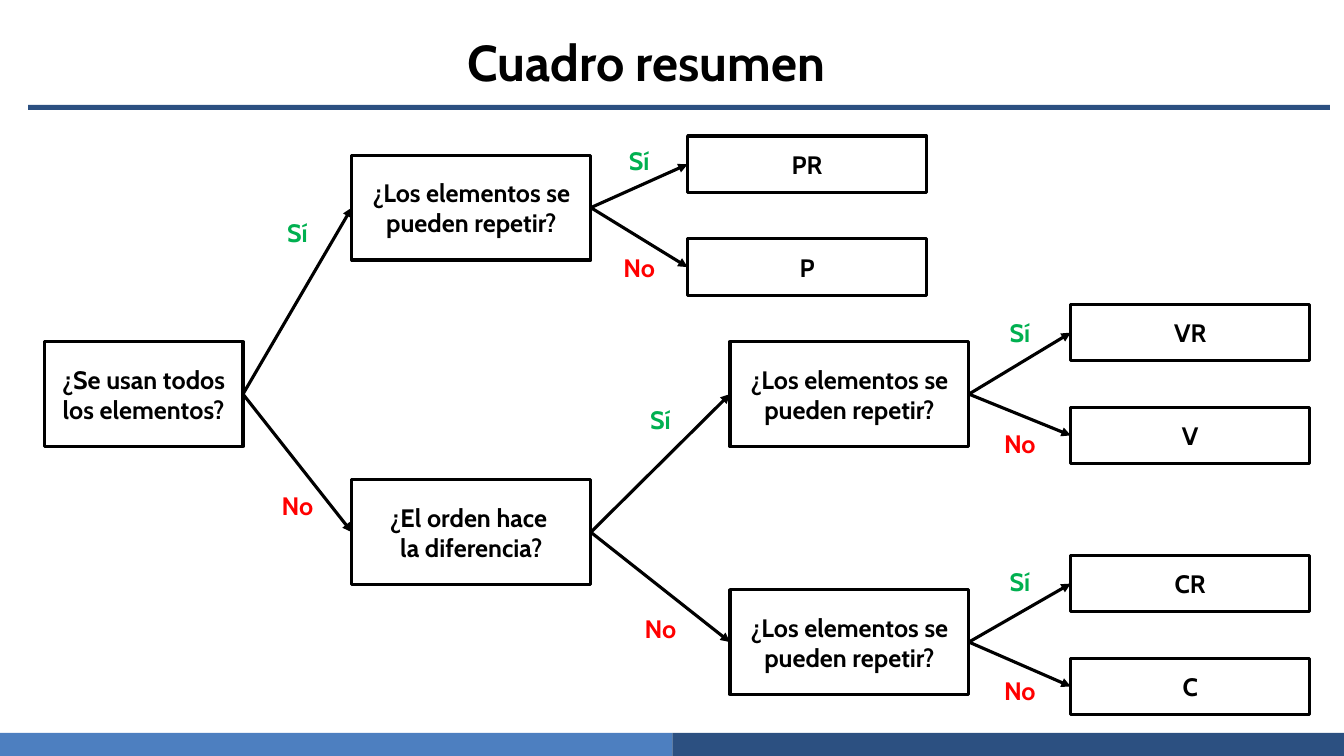
import pptx
import pptx.dml.color
import pptx.enum.shapes
import pptx.enum.text
import pptx.oxml
import pptx.oxml.ns
import pptx.util

Inches = pptx.util.Inches
Pt = pptx.util.Pt
RGBColor = pptx.dml.color.RGBColor
PP_ALIGN = pptx.enum.text.PP_ALIGN
MSO_ANCHOR = pptx.enum.text.MSO_ANCHOR
MSO_SHAPE = pptx.enum.shapes.MSO_SHAPE

BLACK = RGBColor(0x00, 0x00, 0x00)
WHITE = RGBColor(0xFF, 0xFF, 0xFF)
LIGHT_BLUE = RGBColor(0x4D, 0x7F, 0xC0)
DARK_BLUE = RGBColor(0x2C, 0x50, 0x81)
GREEN = RGBColor(0x00, 0xB0, 0x50)
RED = RGBColor(0xFF, 0x00, 0x00)
FONT = "Cabin"

TITLE = "Cuadro resumen"
REPEAT = "¿Los elementos se pueden repetir?"

# left, top, width, height, colour
BANDS = [
    (0, 7.27, 6.67, 0.23, LIGHT_BLUE),
    (6.67, 7.27, 6.66, 0.23, DARK_BLUE),
    (0.28, 1.04, 12.91, 0.05, DARK_BLUE),
]

# name: text, left, top
QUESTIONS = {
    "all used": ("¿Se usan todos los elementos?", 0.44, 3.39),
    "repeat permutation": (REPEAT, 3.49, 1.54),
    "order": ("¿El orden hace \vla diferencia?", 3.49, 4.76),
    "repeat variation": (REPEAT, 7.24, 3.39),
    "repeat combination": (REPEAT, 7.24, 5.85),
}
RESULTS = {
    "PR": (6.82, 1.35),
    "P": (6.82, 2.37),
    "VR": (10.62, 3.02),
    "V": (10.62, 4.04),
    "CR": (10.62, 5.51),
    "C": (10.62, 6.53),
}

# question: (box after Sí, label top), (box after No, label top)
BRANCHES = {
    "all used": (("repeat permutation", 2.11), ("order", 4.82)),
    "order": (("repeat variation", 3.96), ("repeat combination", 6.04)),
    "repeat permutation": (("PR", 1.39), ("P", 2.45)),
    "repeat variation": (("VR", 3.1), ("V", 4.2)),
    "repeat combination": (("CR", 5.57), ("C", 6.65)),
}
ANSWERS = [("Sí", GREEN), ("No", RED)]

FIRST_WIDTH, BOX_WIDTH = 1.97, 2.37
QUESTION_HEIGHT, RESULT_HEIGHT = 1.04, 0.56
LABEL_WIDTH, LABEL_HEIGHT = 0.71, 0.4
RIGHT_SIDE, LEFT_SIDE = 3, 1


def write(shape, text, size=18, color=BLACK, anchor=MSO_ANCHOR.TOP):
    frame = shape.text_frame
    frame.text = text
    frame.word_wrap = True
    frame.vertical_anchor = anchor
    paragraph = frame.paragraphs[0]
    paragraph.alignment = PP_ALIGN.CENTER
    for run in paragraph.runs:
        run.font.name = FONT
        run.font.size = Pt(size)
        run.font.bold = True
        run.font.color.rgb = color


def add_rectangle(slide, left, top, width, height, fill):
    shape = slide.shapes.add_shape(
        MSO_SHAPE.RECTANGLE, Inches(left), Inches(top), Inches(width), Inches(height))
    shape.shadow.inherit = False
    shape.fill.solid()
    shape.fill.fore_color.rgb = fill
    shape.line.fill.background()
    return shape


def add_box(slide, text, left, top, width, height):
    shape = add_rectangle(slide, left, top, width, height, WHITE)
    shape.line.color.rgb = BLACK
    shape.line.width = Pt(2.25)
    write(shape, text, anchor=MSO_ANCHOR.MIDDLE)
    return shape


def add_arrow(slide, source, target):
    connector = slide.shapes.add_connector(
        pptx.enum.shapes.MSO_CONNECTOR.STRAIGHT, 0, 0, 0, 0)
    connector.begin_connect(source, RIGHT_SIDE)
    connector.end_connect(target, LEFT_SIDE)
    connector.line.color.rgb = BLACK
    connector.line.width = Pt(2.25)
    namespace = pptx.oxml.ns.nsdecls("a")
    connector.line._get_or_add_ln().append(
        pptx.oxml.parse_xml(f'<a:tailEnd {namespace} type="triangle"/>'))
    connector._element.spPr.append(
        pptx.oxml.parse_xml(f"<a:effectLst {namespace}/>"))


def add_answer(slide, text, color, source, target, top):
    """Centre the answer horizontally between the two boxes."""
    middle = (source.left + source.width + target.left) // 2
    width = Inches(LABEL_WIDTH)
    label = slide.shapes.add_textbox(
        middle - width // 2, Inches(top), width, Inches(LABEL_HEIGHT))
    write(label, text, color=color)


def main():
    presentation = pptx.Presentation()
    presentation.slide_width = Inches(13.33)
    presentation.slide_height = Inches(7.5)
    slide = presentation.slides.add_slide(presentation.slide_layouts[5])

    title = slide.shapes.title
    title.left, title.top = Inches(1.78), Inches(0.26)
    title.width, title.height = Inches(9.26), Inches(0.71)
    write(title, TITLE, size=36)

    for band in BANDS:
        add_rectangle(slide, *band)

    boxes = {}
    for name, (text, left, top) in QUESTIONS.items():
        width = FIRST_WIDTH if name == "all used" else BOX_WIDTH
        boxes[name] = add_box(slide, text, left, top, width, QUESTION_HEIGHT)
    for name, (left, top) in RESULTS.items():
        boxes[name] = add_box(slide, name, left, top, BOX_WIDTH, RESULT_HEIGHT)

    for question, branches in BRANCHES.items():
        source = boxes[question]
        for (name, label_top), (answer, color) in zip(branches, ANSWERS):
            add_arrow(slide, source, boxes[name])
            add_answer(slide, answer, color, source, boxes[name], label_top)

    presentation.save("out.pptx")


if __name__ == "__main__":
    main()
